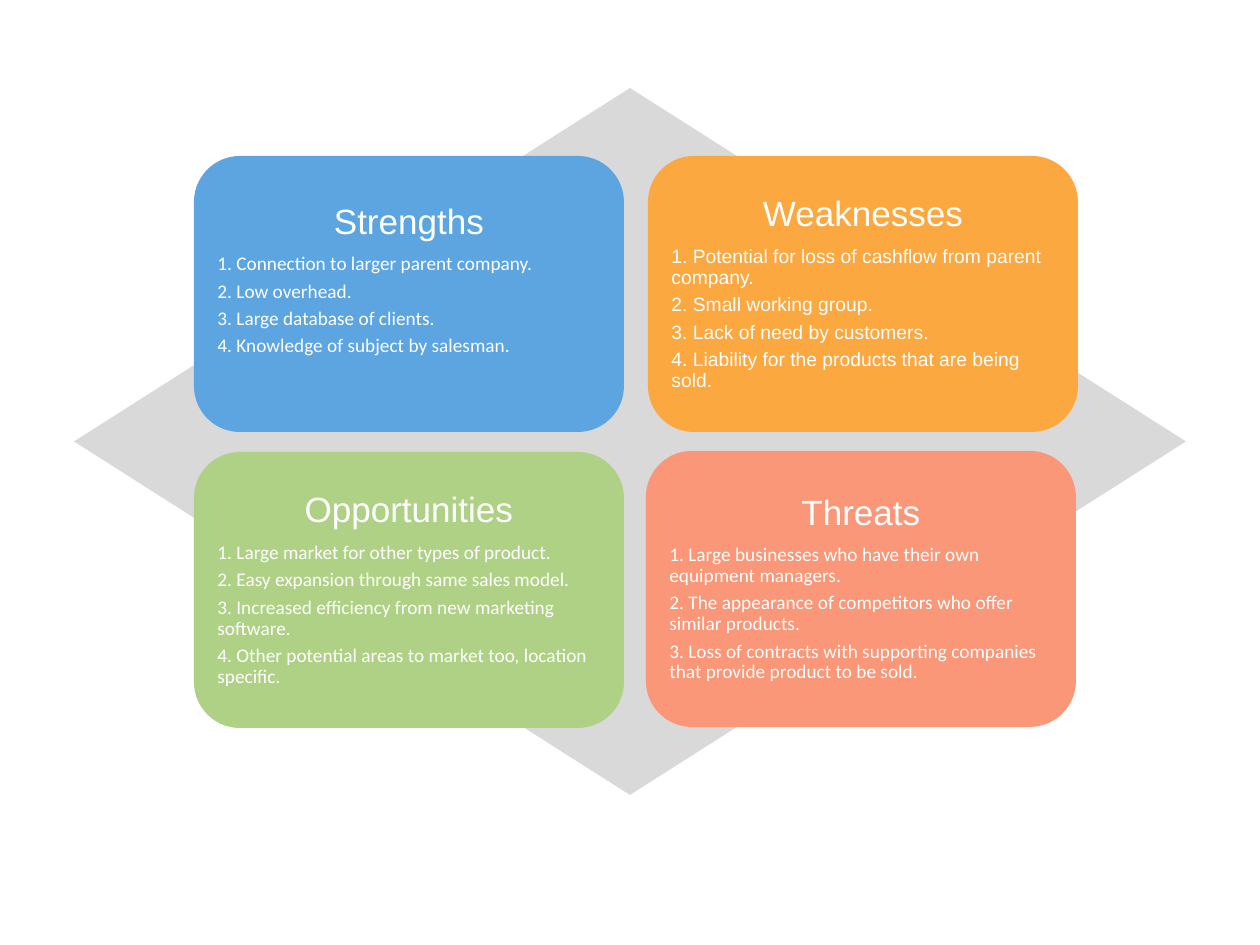
from pptx import Presentation
from pptx.dml.color import RGBColor
from pptx.enum.shapes import MSO_SHAPE
from pptx.enum.text import MSO_ANCHOR, PP_ALIGN
from pptx.util import Emu, Pt

PX = 914400 // 126
COLORS = {
    "backdrop": "D9D9D9", "text": "FFFFFF", "strengths": "5CA5E0",
    "weaknesses": "FCA841", "opportunities": "AFD186", "threats": "FA9778",
}
CARD_WIDTH, CARD_HEIGHT = 430, 276
INSET = 10
BODY_PITCH = 27


class SwotSlide:
    """Holds the style and the current slide."""

    def __init__(self, slide):
        self.slide = slide
        self.heading = {"size": Pt(20), "name": "Arial"}
        self.body = {"size": Pt(11), "name": "Calibri"}

    def shape(self, preset, box, color):
        shape = self.slide.shapes.add_shape(preset, *(Emu(v * PX) for v in box))
        shape.shadow.inherit = False
        shape.fill.solid()
        shape.fill.fore_color.rgb = RGBColor.from_string(COLORS[color])
        shape.line.fill.background()
        return shape

    def paragraph(self, paragraph, text, font, align):
        paragraph.alignment = align
        paragraph.line_spacing = 0.9
        paragraph.space_after = Pt(font["size"].pt * 0.35)
        run = paragraph.add_run()
        run.text = text
        for key, value in font.items():
            setattr(run.font, key, value)
        run.font.color.rgb = RGBColor.from_string(COLORS["text"])

    def card(self, left, top, title, points, body_font="Calibri", lift=0):
        box = (left, top, CARD_WIDTH, CARD_HEIGHT)
        frame = self.shape(MSO_SHAPE.ROUNDED_RECTANGLE, box, title.lower()).text_frame
        layout = {
            "word_wrap": True, "vertical_anchor": MSO_ANCHOR.MIDDLE,
            "margin_left": Emu(INSET * PX), "margin_right": Emu(INSET * PX),
            "margin_top": Emu(INSET * PX), "margin_bottom": Emu((INSET + lift) * PX),
        }
        for key, value in layout.items():
            setattr(frame, key, value)
        self.paragraph(frame.paragraphs[0], title, self.heading, PP_ALIGN.CENTER)
        body = {**self.body, "name": body_font}
        for number, point in enumerate(points, 1):
            self.paragraph(frame.add_paragraph(), f"{number}. {point}", body, PP_ALIGN.LEFT)


presentation = Presentation()
presentation.slide_width = Emu(1260 * 914400 // 126)
presentation.slide_height = Emu(945 * 914400 // 126)
swot = SwotSlide(presentation.slides.add_slide(presentation.slide_layouts[6]))

# Diamond behind the cards
swot.shape(MSO_SHAPE.DIAMOND, (74, 88, 1112, 707), "backdrop")

# Four quadrants
swot.card(194, 156, "Strengths", [
    "Connection to larger parent company.",
    "Low overhead.",
    "Large database of clients.",
    "Knowledge of subject by salesman.",
], lift=BODY_PITCH)
swot.card(648, 156, "Weaknesses", [
    "Potential for loss of cashflow from parent company.",
    "Small working group.",
    "Lack of need by customers.",
    "Liability for the products that are being sold.",
], body_font="Arial")
swot.card(194, 452, "Opportunities", [
    "Large market for other types of product.",
    "Easy expansion through same sales model.",
    "Increased efficiency from new marketing software.",
    "Other potential areas to market too, location specific.",
])
swot.card(646, 451, "Threats", [
    "Large businesses who have their own equipment managers.",
    "The appearance of competitors who offer similar products.",
    "Loss of contracts with supporting companies that provide product to be sold.",
])

presentation.save("out.pptx")
